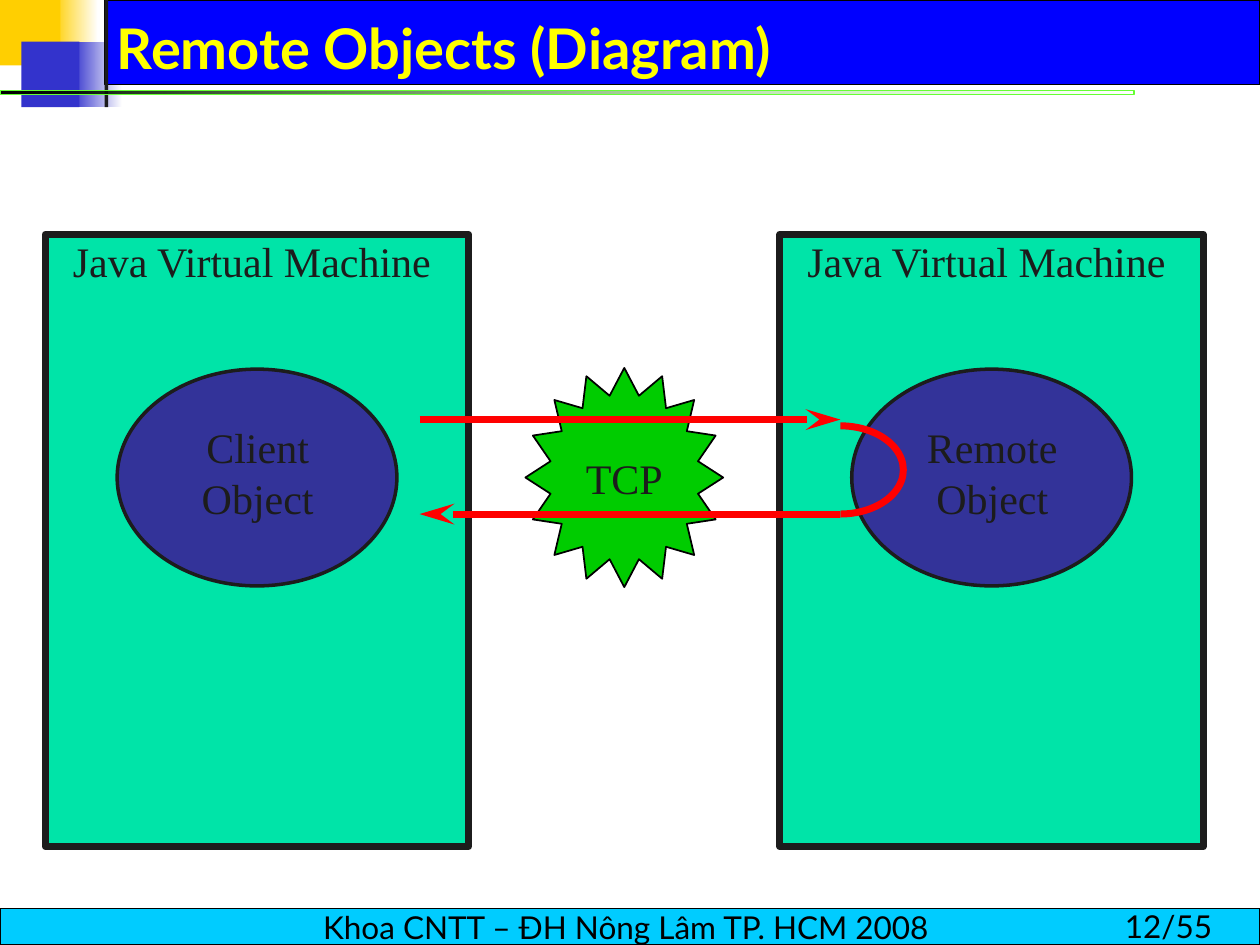
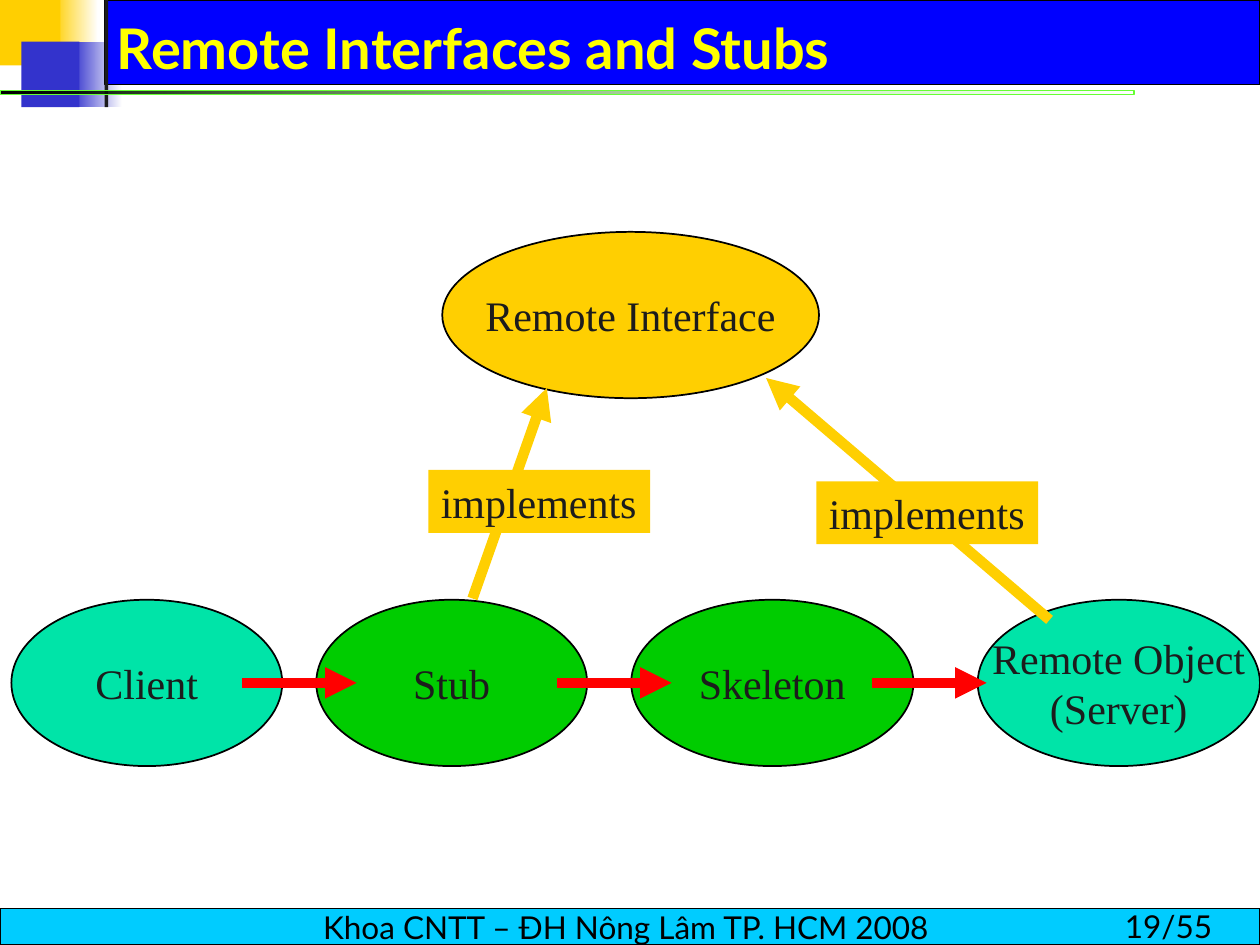
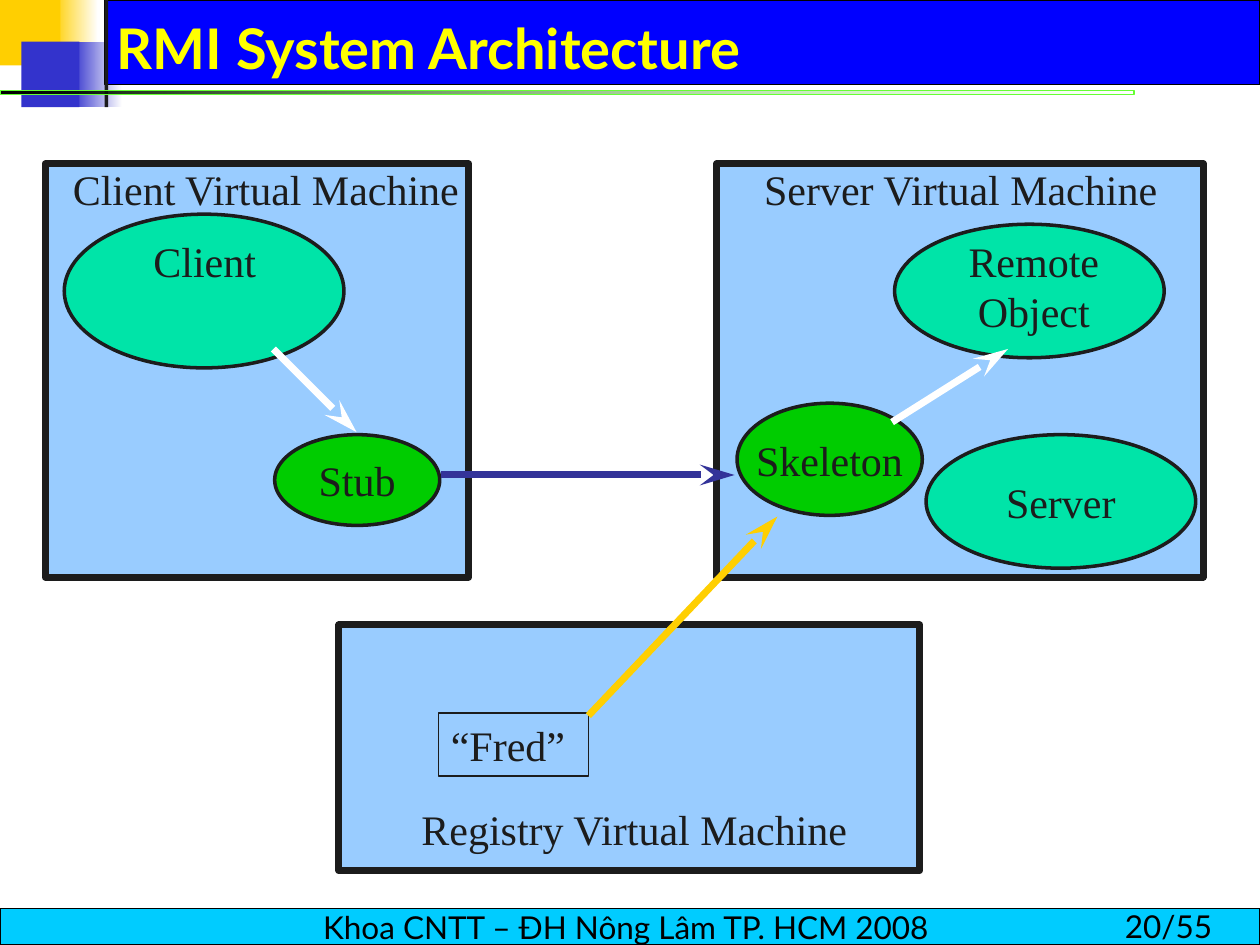
from dataclasses import dataclass

from lxml import etree
from pptx import Presentation
from pptx import util as u
from pptx.dml import color as c
from pptx.enum import shapes, text
from pptx.oxml import ns


@dataclass(frozen=True)
class Theme:
    """Colours, fonts and type sizes shared by the slides."""

    white: str = "FFFFFF"
    black: str = "000000"
    ink: str = "1C1C1C"
    gold: str = "FFCF01"
    indigo: str = "3333CC"
    navy: str = "333399"
    title_band: str = "0000FF"
    title_text: str = "FFFF00"
    footer_band: str = "00CCFF"
    lime: str = "66FF33"
    mint: str = "00E4A8"
    green: str = "00CC00"
    sky: str = "99CCFF"
    red: str = "FF0000"
    sans: str = "Lato"
    serif: str = "Times New Roman"
    title_size: int = 32
    body_size: int = 24
    footer_size: int = 18


THEME = Theme()
SHAPE = shapes.MSO_SHAPE
LEFT, CENTER = text.PP_ALIGN.LEFT, text.PP_ALIGN.CENTER
TOP, MIDDLE = text.MSO_ANCHOR.TOP, text.MSO_ANCHOR.MIDDLE
FOOTER = "Khoa CNTT – ĐH Nông Lâm TP. HCM 2008 "
PAGE_COUNT = 55


def rgb(value):
    """Turn a hex string into a colour."""
    return c.RGBColor.from_string(value)


def write(shape, content, *, size=THEME.body_size, font=THEME.serif, color=THEME.ink,
          bold=False, align=CENTER, anchor=MIDDLE, wrap=False):
    """Fill a shape with formatted text, one paragraph a line."""
    frame = shape.text_frame
    frame.word_wrap = wrap
    frame.vertical_anchor = anchor
    frame.text = content
    for paragraph in frame.paragraphs:
        paragraph.alignment = align
        style = paragraph.font
        style.size, style.name, style.bold = u.Pt(size), font, bold
        style.color.rgb = rgb(color)


def add_label(slide, content, box, **style):
    """Add a text box whose text starts at the top unless told otherwise."""
    label = slide.shapes.add_textbox(*map(u.Inches, box))
    write(label, content, **{"anchor": TOP, **style})
    return label


def add_figure(slide, kind, box, fill=None, line=None, width=1.0):
    """Add a preset shape; a pair of colours as fill makes a gradient."""
    figure = slide.shapes.add_shape(kind, *map(u.Inches, box))
    figure.shadow.inherit = False
    if fill is None:
        figure.fill.background()
    elif isinstance(fill, tuple):
        figure.fill.gradient()
        figure.fill.gradient_angle = 180
        for stop, value in zip(figure.fill.gradient_stops, fill):
            stop.color.rgb = rgb(value)
    else:
        figure.fill.solid()
        figure.fill.fore_color.rgb = rgb(fill)
    if line is None:
        figure.line.fill.background()
    else:
        figure.line.color.rgb = rgb(line)
        figure.line.width = u.Pt(width)
    return figure


def add_ellipse(slide, box, fill, content=None, line=THEME.ink, width=2):
    """Add an outlined ellipse, with centred text if given."""
    ellipse = add_figure(slide, SHAPE.OVAL, box, fill, line, width)
    if content:
        write(ellipse, content)


def add_machine(slide, box, fill):
    """Add the thick-edged box of a virtual machine."""
    add_figure(slide, SHAPE.RECTANGLE, box, fill, THEME.ink, 4)


def add_arrow(slide, start, end, color, width=4, head="stealth"):
    """Add a straight arrow pointing at end."""
    arrow = slide.shapes.add_connector(
        shapes.MSO_CONNECTOR.STRAIGHT, *map(u.Inches, (*start, *end)))
    arrow.line.color.rgb = rgb(color)
    arrow.line.width = u.Pt(width)
    length = "lg" if head == "stealth" else "med"
    etree.SubElement(arrow.line._get_or_add_ln(), ns.qn("a:tailEnd"),
                     type=head, w="med", len=length)
    etree.SubElement(arrow.element.spPr, ns.qn("a:effectLst"))


def add_base_slide(presentation, title, number):
    """Add a slide with the corner squares, title band and footer."""
    slide = presentation.slides.add_slide(presentation.slide_layouts[6])
    bands = (
        ((0.42, 0, 0.36, 0.52), (THEME.white, THEME.gold), None),
        ((0.57, 0.33, 0.4, 0.52), (THEME.white, THEME.indigo), None),
        ((0.83, 0, 9.17, 0.67), THEME.title_band, THEME.black),
        ((0, 0, 0.48, 0.52), THEME.gold, None),
        ((0.17, 0.33, 0.46, 0.52), THEME.indigo, None),
        ((0.83, 0, 0.03, 0.85), THEME.ink, None),
    )
    for box, fill, line in bands:
        add_figure(slide, SHAPE.RECTANGLE, box, fill, line, 0.75)
    rule = add_figure(slide, SHAPE.RECTANGLE, (0, 0.72, 9, 0.03),
                      (THEME.lime, THEME.black), THEME.lime, 0)
    clear_stop = rule.element.xpath(".//a:gs[1]/a:srgbClr")[0]
    etree.SubElement(clear_stop, ns.qn("a:alpha"), val="0")
    footer = add_figure(slide, SHAPE.RECTANGLE, (0, 7.21, 10, 0.29),
                        THEME.footer_band, THEME.black, 0.75)
    small = {"size": THEME.footer_size, "font": THEME.sans, "color": THEME.black}
    write(footer, FOOTER, **small)
    add_label(slide, f"{number}/{PAGE_COUNT}", (8.83, 7.15, 1.17, 0.74),
              align=LEFT, wrap=True, **small)
    add_label(slide, title, (0.83, 0.08, 8.94, 0.58), size=THEME.title_size,
              font=THEME.sans, color=THEME.title_text, bold=True,
              align=LEFT, anchor=MIDDLE, wrap=True)
    return slide


def build_remote_objects(presentation):
    """Show a call over TCP between two virtual machines."""
    slide = add_base_slide(presentation, "Remote Objects (Diagram)", 12)
    burst = add_figure(slide, SHAPE.STAR_16_POINT, (4.17, 2.92, 1.57, 1.74),
                       THEME.green, THEME.black)
    burst.adjustments[0] = 0.38
    write(burst, "TCP")
    for offset, name in ((0, "Client Object"), (5.83, "Remote Object")):
        add_machine(slide, (0.36 + offset, 1.86, 3.36, 4.86), THEME.mint)
        add_label(slide, "Java Virtual Machine", (0.48 + offset, 1.82, 3.07, 0.5),
                  align=LEFT)
        add_ellipse(slide, (0.93 + offset, 2.93, 2.22, 1.72), THEME.navy)
        add_label(slide, name, (1.17 + offset, 3.3, 1.75, 0.9), wrap=True)
    add_arrow(slide, (3.33, 3.33), (6.67, 3.33), THEME.red)
    turn = add_figure(slide, SHAPE.ARC, (6.17, 3.38, 1, 0.7), None, THEME.red, 4)
    turn.adjustments[0], turn.adjustments[1] = 162, 54
    add_arrow(slide, (6.67, 4.08), (3.33, 4.08), THEME.red)


def build_interfaces_and_stubs(presentation):
    """Show the call chain and what implements the remote interface."""
    slide = add_base_slide(presentation, "Remote Interfaces and Stubs", 19)
    nodes = (
        ("Remote Interface", (3.51, 1.84, 2.99), THEME.gold),
        ("Client", (0.09, 4.76, 2.15), THEME.mint),
        ("Stub", (2.51, 4.76, 2.15), THEME.green),
        ("Skeleton", (5.01, 4.76, 2.24), THEME.green),
        ("Remote Object\n(Server)", (7.76, 4.76, 2.24), THEME.mint),
    )
    for name, place, fill in nodes:
        add_ellipse(slide, (*place, 1.32), fill, name, THEME.black, 1)
    for step in range(3):
        left = 1.92 + 2.5 * step
        add_arrow(slide, (left, 5.42), (left + 0.91, 5.42), THEME.red, 6, "triangle")
    for start, end in (((3.75, 4.75), (4.34, 3.08)), ((8.33, 4.92), (6.08, 3))):
        add_arrow(slide, start, end, THEME.gold, 6, "triangle")
    for left, top in ((3.4, 3.73), (6.48, 3.82)):
        tag = add_figure(slide, SHAPE.RECTANGLE, (left, top, 1.76, 0.5), THEME.gold)
        write(tag, "implements", align=LEFT, anchor=TOP)


def build_architecture(presentation):
    """Show the client, server and registry machines and their links."""
    slide = add_base_slide(presentation, "RMI System Architecture", 20)
    add_machine(slide, (0.36, 1.3, 3.36, 3.28), THEME.sky)
    add_label(slide, "Client Virtual Machine", (0.48, 1.25, 3.29, 0.5), align=LEFT)
    add_ellipse(slide, (0.51, 1.7, 2.22, 1.22), THEME.mint)
    add_label(slide, "Client", (0.75, 1.82, 1.75, 0.5), wrap=True)
    add_machine(slide, (5.69, 1.3, 3.86, 3.28), THEME.sky)
    add_label(slide, "Server Virtual Machine", (5.75, 1.25, 3.75, 0.5), wrap=True)
    add_ellipse(slide, (2.18, 3.45, 1.31, 0.72), THEME.green, "Stub")
    add_ellipse(slide, (7.1, 1.78, 2.14, 1.06), THEME.mint)
    add_label(slide, "Remote Object", (7.33, 1.82, 1.75, 0.9), wrap=True)
    add_ellipse(slide, (5.85, 3.2, 1.47, 0.89), THEME.green, "Skeleton")
    add_arrow(slide, (2.17, 2.77), (2.83, 3.43), THEME.white)
    add_arrow(slide, (7.08, 3.35), (8, 2.77), THEME.white)
    add_machine(slide, (2.69, 4.96, 4.61, 1.95), THEME.sky)
    add_label(slide, "Registry Virtual Machine", (2.82, 6.33, 4.43, 0.5), wrap=True)
    entry = add_figure(slide, SHAPE.RECTANGLE, (3.48, 5.66, 1.19, 0.5), None, THEME.ink)
    write(entry, "“Fred”", align=LEFT, anchor=TOP)
    add_arrow(slide, (4.67, 5.68), (6.17, 4.1), THEME.gold)
    add_ellipse(slide, (7.35, 3.45, 2.14, 1.06), THEME.mint, "Server")
    add_arrow(slide, (3.5, 3.77), (5.83, 3.77), THEME.navy)


def main():
    """Build the three slides and save them."""
    presentation = Presentation()
    presentation.slide_width = u.Inches(10)
    presentation.slide_height = u.Inches(7.5)
    build_remote_objects(presentation)
    build_interfaces_and_stubs(presentation)
    build_architecture(presentation)
    presentation.save("out.pptx")


if __name__ == "__main__":
    main()
